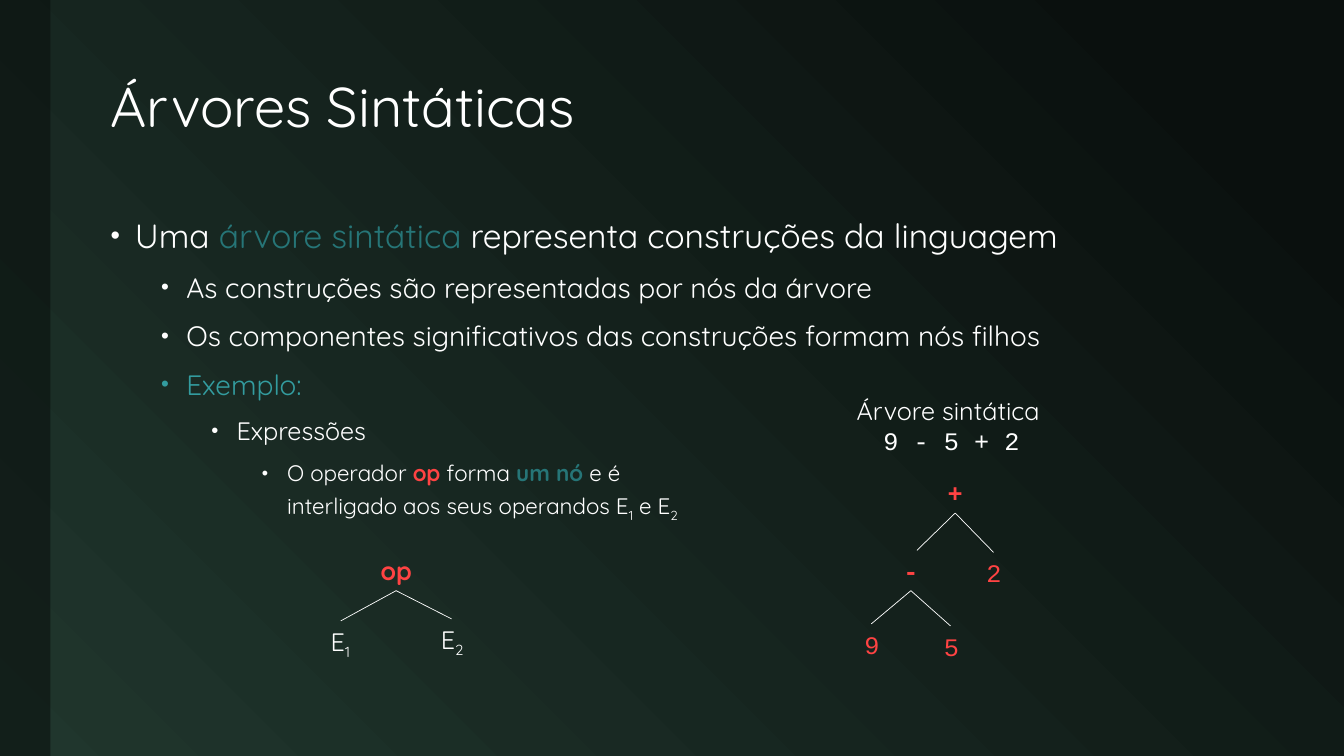
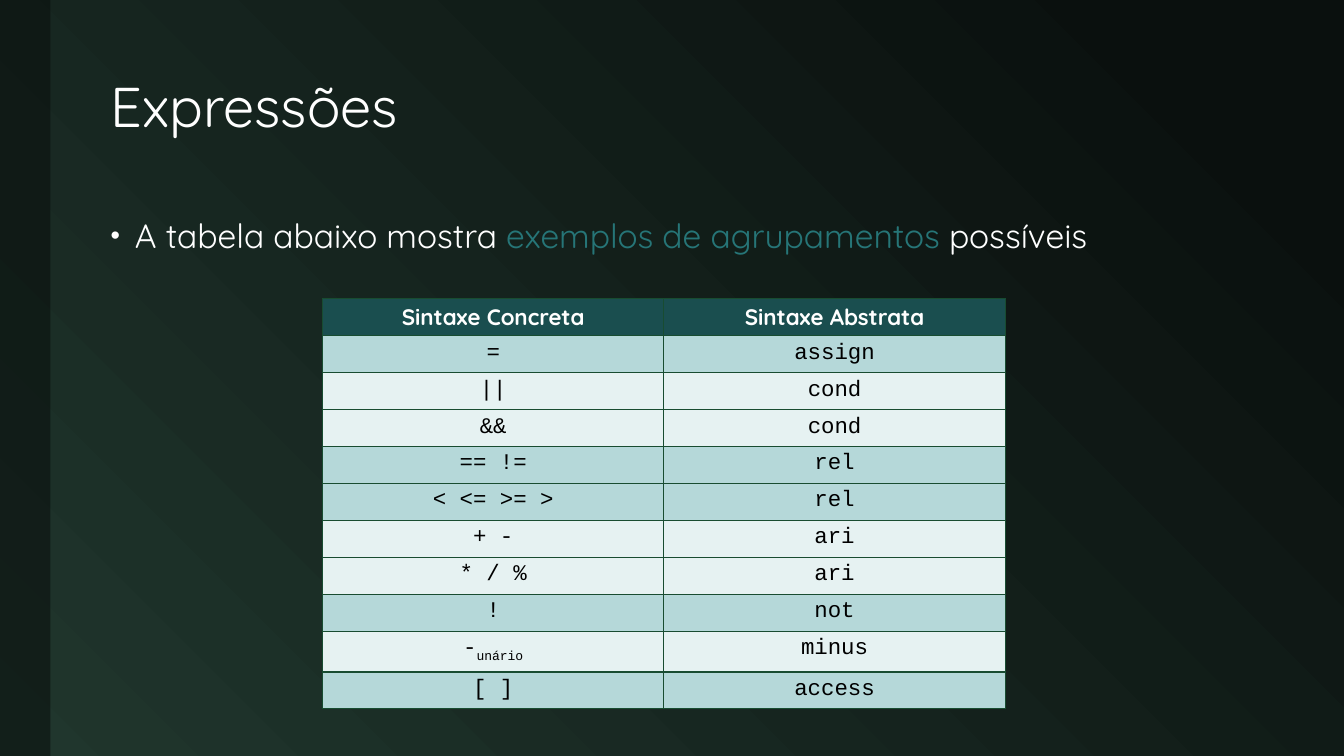
"""Build two slides on syntax trees: a bulleted slide with two trees, and a table of groupings."""
from dataclasses import dataclass

from lxml.etree import SubElement
from pptx import Presentation
from pptx.dml.color import RGBColor
from pptx.enum.shapes import MSO_CONNECTOR, MSO_SHAPE
from pptx.enum.text import MSO_ANCHOR, PP_ALIGN
from pptx.oxml.ns import qn
from pptx.util import Emu, Inches, Pt


@dataclass(frozen=True)
class Theme:
    sans: str = "Quicksand"
    mono: str = "Courier New"
    dark: str = "0A100E"
    forest: str = "20362D"
    white: str = "FFFFFF"
    black: str = "000000"
    term: str = "267577"
    example: str = "339C9F"
    symbol: str = "FF4343"
    header: str = "1A4E4F"
    bands: tuple = ("B5D8D9", "E6F2F2")
    border: str = "184C31"
    title_size: int = 40
    level_sizes: tuple = (24, 20, 18, 16)
    label_size: int = 18
    table_size: int = 16


THEME = Theme()
TERM = {"color": THEME.term}
BOLD_TERM = {"color": THEME.term, "bold": True}
BOLD_SYMBOL = {"color": THEME.symbol, "bold": True}
MONO = {"name": THEME.mono}
SUBSCRIPT = {"subscript": True}

TREE_TITLE = "Árvores Sintáticas"
TREE_BULLETS = [
    (0, THEME.white, [("Uma ", {}), ("árvore sintática", TERM),
                      (" representa construções da linguagem", {})]),
    (1, THEME.white, [("As construções são representadas por nós da árvore", {})]),
    (1, THEME.white, [("Os componentes significativos das construções formam nós filhos", {})]),
    (1, THEME.example, [("Exemplo:", {})]),
    (2, THEME.white, [("Expressões", {})]),
    (3, THEME.white, [("O operador ", {}), ("op", BOLD_SYMBOL), (" forma ", {}),
                      ("um nó ", BOLD_TERM), ("e é \ninterligado aos seus operandos E", {}),
                      ("1", SUBSCRIPT), (" e E", {}), ("2", SUBSCRIPT)]),
]
TREE_HEADING = [("Árvore sintática \n", {}), ("9 - 5 + 2", MONO)]
MONO_SYMBOL = {"name": THEME.mono, "color": THEME.symbol}
MONO_OPERATOR = {**MONO_SYMBOL, "bold": True}
TREE_NODES = {
    "op": (11.79, 21.84, [("op", BOLD_SYMBOL)]),
    "first operand": (10.13, 24.64, [("E", {}), ("1", SUBSCRIPT)]),
    "second operand": (13.46, 24.56, [("E", {}), ("2", SUBSCRIPT)]),
    "plus": (28.43, 18.76, [("+", MONO_OPERATOR)]),
    "two": (29.58, 21.92, [("2", MONO_SYMBOL)]),
    "minus": (27.11, 21.84, [("-", MONO_OPERATOR)]),
    "nine": (25.95, 24.76, [("9", MONO_SYMBOL)]),
    "five": (28.32, 24.84, [("5", MONO_SYMBOL)]),
}
TREE_FORKS = [
    ("op", "first operand", "second operand", 1.65),
    ("plus", "minus", "two", 1.14),
    ("minus", "nine", "five", 1.18),
]

TABLE_TITLE = "Expressões"
TABLE_BULLETS = [
    (0, THEME.white, [("A tabela abaixo mostra ", {}),
                      ("exemplos de agrupamentos ", TERM), ("possíveis", {})]),
]
TABLE_HEADER = ("Sintaxe Concreta", "Sintaxe Abstrata")
TABLE_GROUPS = {
    "assign": [[("=", {})]],
    "cond": [[("||", {})], [("&&", {})]],
    "rel": [[("== !=", {})], [("< <= >= >", {})]],
    "ari": [[("+ -", {})], [("* / %", {})]],
    "not": [[("!", {})]],
    "minus": [[("-", {}), ("unário", SUBSCRIPT)]],
    "access": [[("[ ]", {})]],
}

GRID_COLUMNS, GRID_ROWS = 40, 30
SLIDE_WIDTH, SLIDE_HEIGHT = Inches(13.33), Inches(7.5)
BAND = (0, 0, 1.5, GRID_ROWS)
TITLE_BOX = (3, 1.68, 34.95, 5.32)
BODY_BOX = (3, 8, 34.95, 19.32)
HEADING_BOX = (25.05, 15.48, 6.54, 2.84)
TABLE_BOX = (9.6, 11.84, 20.32, 14.96)
NODE_WIDTH, NODE_HEIGHT = 1.6, 1.6


def across(columns):
    return Emu(round(columns * SLIDE_WIDTH / GRID_COLUMNS))


def down(rows):
    return Emu(round(rows * SLIDE_HEIGHT / GRID_ROWS))


def place(box):
    left, top, width, height = box
    return across(left), down(top), across(width), down(height)


def color(value):
    return RGBColor.from_string(value)


def style_font(font, size, value, name=THEME.sans, bold=False):
    font.size, font.name, font.bold = Pt(size), name, bold
    font.color.rgb = color(value)


def add_runs(paragraph, runs):
    for text, style in runs:
        for index, line in enumerate(text.split("\n")):
            if index:
                paragraph.add_line_break()
            if not line:
                continue
            run = paragraph.add_run()
            run.text = line
            if "name" in style:
                run.font.name = style["name"]
            if "color" in style:
                run.font.color.rgb = color(style["color"])
            if "bold" in style:
                run.font.bold = style["bold"]
            if "subscript" in style:
                run.font._element.set("baseline", "-25000")


def add_text(slide, box, runs, size, wrap=False, align=PP_ALIGN.CENTER):
    frame = slide.shapes.add_textbox(*place(box)).text_frame
    frame.word_wrap = wrap
    paragraph = frame.paragraphs[0]
    paragraph.alignment = align
    style_font(paragraph.font, size, THEME.white)
    add_runs(paragraph, runs)
    return frame


def add_bullets(slide, bullets):
    frame = slide.shapes.add_textbox(*place(BODY_BOX)).text_frame
    frame.word_wrap = True
    for index, (level, value, runs) in enumerate(bullets):
        paragraph = frame.add_paragraph() if index else frame.paragraphs[0]
        paragraph.level = level
        hanging = Inches(0.25 if level else 0.24)
        properties = paragraph._p.get_or_add_pPr()
        properties.set("marL", str(Inches(level * 0.5) + hanging))
        properties.set("indent", str(-hanging))
        SubElement(properties, qn("a:buSzPct"), val="80000")
        SubElement(properties, qn("a:buFont"), typeface="Arial")
        SubElement(properties, qn("a:buChar"), char="•")
        paragraph.line_spacing = 1.2
        paragraph.space_before = Pt(6 if level else 18)
        style_font(paragraph.font, THEME.level_sizes[level], value)
        add_runs(paragraph, runs)


def add_line(slide, start, end):
    line = slide.shapes.add_connector(
        MSO_CONNECTOR.STRAIGHT, across(start[0]), down(start[1]), across(end[0]), down(end[1]))
    line.line.color.rgb = color(THEME.white)
    line.line.width = Pt(0.5)
    SubElement(line._element.spPr, qn("a:effectLst"))


def add_trees(slide):
    for center, top, runs in TREE_NODES.values():
        add_text(slide, (center - NODE_WIDTH / 2, top, NODE_WIDTH, NODE_HEIGHT),
                 runs, THEME.label_size)
    for parent, left_child, right_child, reach in TREE_FORKS:
        center, top, _ = TREE_NODES[parent]
        for child, side in ((left_child, -1), (right_child, 1)):
            add_line(slide, (center, top + NODE_HEIGHT),
                     (center + side * reach, TREE_NODES[child][1]))


def fill_cell(cell, runs, fill, **font):
    properties = cell._tc.get_or_add_tcPr()
    for side in ("lnL", "lnR", "lnT", "lnB"):
        border = SubElement(properties, qn(f"a:{side}"), w=str(Pt(1)))
        SubElement(SubElement(border, qn("a:solidFill")), qn("a:srgbClr"), val=THEME.border)
    cell.fill.solid()
    cell.fill.fore_color.rgb = color(fill)
    paragraph = cell.text_frame.paragraphs[0]
    paragraph.alignment = PP_ALIGN.CENTER
    style_font(paragraph.font, THEME.table_size, **font)
    add_runs(paragraph, runs)


def add_groupings(slide):
    rows = [(concrete, [(abstract, {})], THEME.bands[index % 2])
            for index, (abstract, group) in enumerate(TABLE_GROUPS.items())
            for concrete in group]
    table = slide.shapes.add_table(
        len(rows) + 1, len(TABLE_HEADER), *place(TABLE_BOX)).table
    table.first_row = table.horz_banding = False
    for cell, text in zip(table.rows[0].cells, TABLE_HEADER):
        fill_cell(cell, [(text, {})], THEME.header, value=THEME.white, bold=True)
    for row_index, (*texts, fill) in enumerate(rows, 1):
        for cell, runs in zip(table.rows[row_index].cells, texts):
            fill_cell(cell, runs, fill, value=THEME.black, name=THEME.mono)


def set_background(master):
    fill = master.background.fill
    fill.gradient()
    fill.gradient_angle = 225
    for stop, position, value in zip(fill.gradient_stops, (0.1, 1), (THEME.dark, THEME.forest)):
        stop.position = position
        stop.color.rgb = color(value)


def add_slide(presentation, title, bullets):
    slide = presentation.slides.add_slide(presentation.slide_layouts[6])
    band = slide.shapes.add_shape(MSO_SHAPE.RECTANGLE, *place(BAND))
    band.shadow.inherit = False
    band.line.fill.background()
    band.fill.solid()
    band.fill.fore_color.rgb = color(THEME.dark)
    SubElement(band._element.spPr.find(".//" + qn("a:srgbClr")), qn("a:alpha"), val="60000")
    frame = add_text(slide, TITLE_BOX, [(title, {})], THEME.title_size, True, PP_ALIGN.LEFT)
    frame.vertical_anchor = MSO_ANCHOR.MIDDLE
    frame.paragraphs[0].line_spacing = 0.9
    add_bullets(slide, bullets)
    return slide


def main():
    presentation = Presentation()
    presentation.slide_width, presentation.slide_height = SLIDE_WIDTH, SLIDE_HEIGHT
    set_background(presentation.slide_master)
    tree_slide = add_slide(presentation, TREE_TITLE, TREE_BULLETS)
    add_text(tree_slide, HEADING_BOX, TREE_HEADING, THEME.label_size)
    add_trees(tree_slide)
    add_groupings(add_slide(presentation, TABLE_TITLE, TABLE_BULLETS))
    presentation.save("out.pptx")


main()
